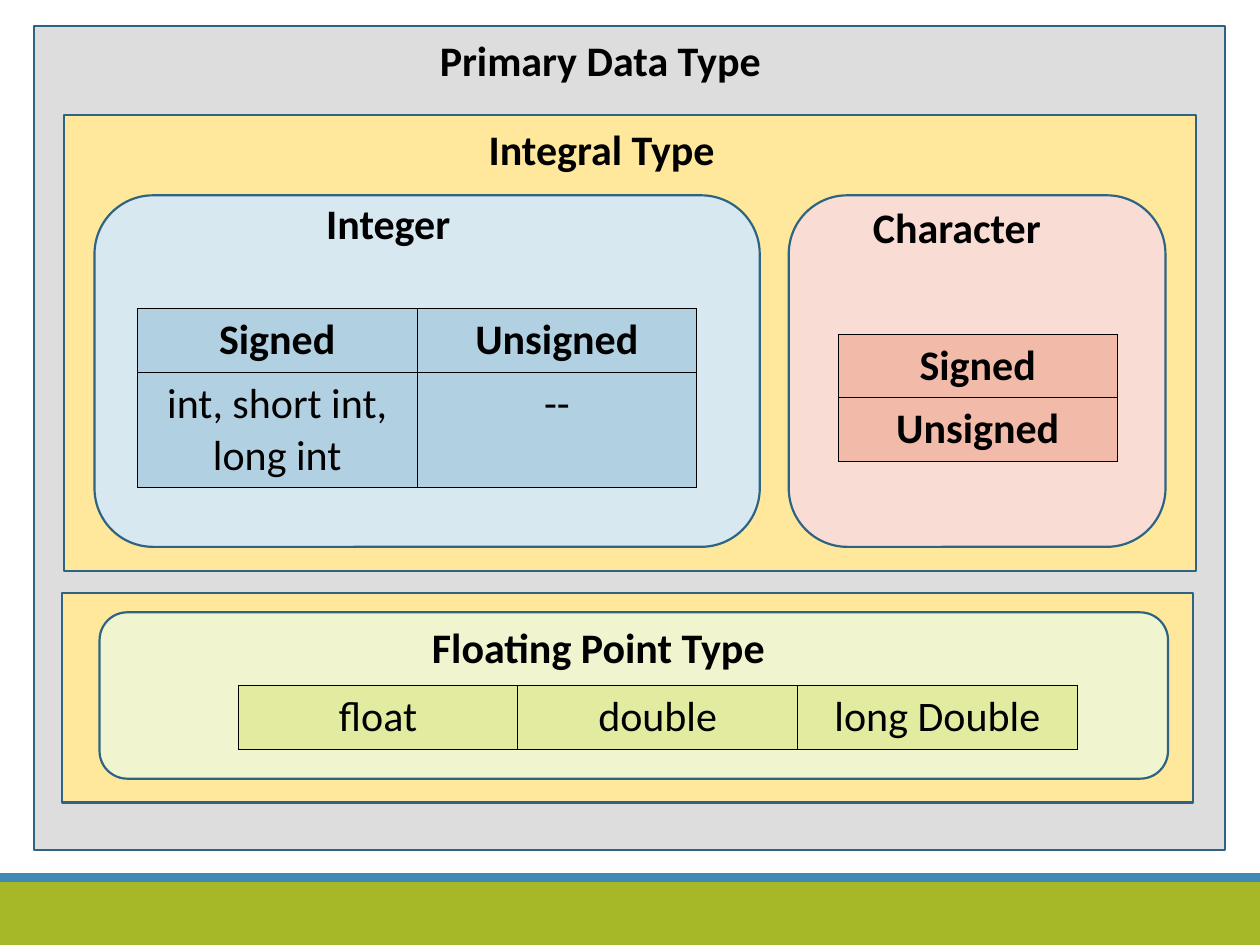
"""Build a slide that nests the primary data types in coloured panels and tables."""
import dataclasses
import typing

import pptx
import pptx.dml.color
import pptx.enum.shapes
import pptx.enum.text
import pptx.oxml
import pptx.oxml.ns
import pptx.util

Inches = pptx.util.Inches
Pt = pptx.util.Pt
RGB = pptx.dml.color.RGBColor.from_string
Kind = pptx.enum.shapes.MSO_SHAPE
Align = pptx.enum.text.PP_ALIGN


@dataclasses.dataclass(frozen=True)
class Theme:
    font: str = "Calibri"
    size: float = 24
    ink: str = "000000"
    outline: str = "2D6483"
    outline_width: float = 1.25
    border_width: float = 0.45
    green: str = "A6B727"
    blue: str = "418AB3"
    grey: str = "DDDDDD"
    yellow: str = "FFE79B"
    pale_blue: str = "D8E8F1"
    pale_red: str = "F9DDD4"
    pale_green: str = "F0F5D0"
    cell_blue: str = "B1D1E3"
    cell_red: str = "F2BAA9"
    cell_green: str = "E2EBA0"


class Panel(typing.NamedTuple):
    left: float
    top: float
    width: float
    height: float
    fill: str
    kind: Kind = Kind.RECTANGLE
    outlined: bool = True


class Heading(typing.NamedTuple):
    text: str
    left: float
    top: float
    width: float


class Grid(typing.NamedTuple):
    left: float
    top: float
    row_heights: list[float]
    rows: list[list[str]]
    fill: str
    bold_rows: int


THEME = Theme()
COLUMN_WIDTH = 2.22
HEADING_HEIGHT = 0.5

PANELS = [
    Panel(0, 7, 10, 0.5, THEME.green, outlined=False),
    Panel(0, 6.93, 10, 0.07, THEME.blue, outlined=False),
    Panel(0.27, 0.21, 9.45, 6.54, THEME.grey),
    Panel(0.51, 0.91, 8.98, 3.62, THEME.yellow),
    Panel(0.75, 1.55, 5.28, 2.79, THEME.pale_blue, Kind.ROUNDED_RECTANGLE),
    Panel(6.26, 1.55, 2.99, 2.79, THEME.pale_red, Kind.ROUNDED_RECTANGLE),
    Panel(0.49, 4.71, 8.98, 1.66, THEME.yellow),
    Panel(0.79, 4.86, 8.48, 1.32, THEME.pale_green, Kind.ROUNDED_RECTANGLE),
]
TITLE = Heading("Primary Data Type", 3.39, 0.22, 3.29)
HEADINGS = [
    Heading("Integral Type", 3.78, 0.93, 2.43),
    Heading("Floating Point Type", 3.33, 4.88, 3.41),
    Heading("Character", 6.83, 1.55, 1.85),
    Heading("Integer", 2.49, 1.52, 1.45),
]
GRIDS = [
    Grid(1.89, 5.44, [0.5], [["float", "double", "long Double"]], THEME.cell_green, 0),
    Grid(1.09, 2.45, [0.5, 0.9],
         [["Signed", "Unsigned"], ["int, short int, long int", "--"]], THEME.cell_blue, 1),
    Grid(6.65, 2.65, [0.5, 0.5], [["Signed"], ["Unsigned"]], THEME.cell_red, 2),
]


def write(tf, text: str, bold: bool, align: Align) -> None:
    """Put one formatted run into a text frame."""
    p = tf.paragraphs[0]
    p.alignment = align
    r = p.add_run()
    r.text = text
    for name, value in {"name": THEME.font, "size": Pt(THEME.size), "bold": bold}.items():
        setattr(r.font, name, value)
    r.font.color.rgb = RGB(THEME.ink)


def draw_panel(s, panel: Panel) -> None:
    """Draw a filled panel."""
    sp = s.shapes.add_shape(panel.kind, Inches(panel.left), Inches(panel.top),
                            Inches(panel.width), Inches(panel.height))
    sp.shadow.inherit = False
    sp.fill.solid()
    sp.fill.fore_color.rgb = RGB(panel.fill)
    if panel.outlined:
        sp.line.color.rgb = RGB(THEME.outline)
        sp.line.width = Pt(THEME.outline_width)
    else:
        sp.line.fill.background()


def set_heading(sp, heading: Heading) -> None:
    """Place a heading shape and fill in its text."""
    box = {"left": heading.left, "top": heading.top,
           "width": heading.width, "height": HEADING_HEIGHT}
    for name, value in box.items():
        setattr(sp, name, Inches(value))
    frame = {"word_wrap": True, "auto_size": pptx.enum.text.MSO_AUTO_SIZE.NONE,
             "vertical_anchor": pptx.enum.text.MSO_ANCHOR.TOP}
    for name, value in frame.items():
        setattr(sp.text_frame, name, value)
    write(sp.text_frame, heading.text, True, Align.LEFT)


def set_borders(cell) -> None:
    """Give a cell a thin line on each side."""
    tc_pr = cell._tc.get_or_add_tcPr()
    for i, side in enumerate(("lnL", "lnR", "lnT", "lnB")):
        tc_pr.insert(i, pptx.oxml.parse_xml(
            f'<a:{side} {pptx.oxml.ns.nsdecls("a")} w="{int(Pt(THEME.border_width))}">'
            f'<a:solidFill><a:srgbClr val="{THEME.ink}"/></a:solidFill></a:{side}>'))


def draw_grid(s, grid: Grid) -> None:
    """Draw a bordered table with equal columns."""
    columns = len(grid.rows[0])
    table = s.shapes.add_table(
        len(grid.rows), columns, Inches(grid.left), Inches(grid.top),
        Inches(COLUMN_WIDTH * columns), Inches(sum(grid.row_heights))).table
    table.first_row = table.horz_banding = False
    for column in table.columns:
        column.width = Inches(COLUMN_WIDTH)
    for i, (height, texts) in enumerate(zip(grid.row_heights, grid.rows)):
        table.rows[i].height = Inches(height)
        for j, text in enumerate(texts):
            cell = table.cell(i, j)
            cell.fill.solid()
            cell.fill.fore_color.rgb = RGB(grid.fill)
            set_borders(cell)
            write(cell.text_frame, text, i < grid.bold_rows, Align.CENTER)


def main() -> None:
    """Build and save the slide."""
    prs = pptx.Presentation()
    prs.slide_width, prs.slide_height = Inches(10), Inches(7.5)
    s = prs.slides.add_slide(prs.slide_layouts.get_by_name("Title Only"))
    for panel in PANELS:
        draw_panel(s, panel)
    title = s.shapes.title
    title.element.getparent().append(title.element)
    set_heading(title, TITLE)
    for heading in HEADINGS:
        set_heading(s.shapes.add_textbox(0, 0, 0, 0), heading)
    for grid in GRIDS:
        draw_grid(s, grid)
    prs.save("out.pptx")


if __name__ == "__main__":
    main()
